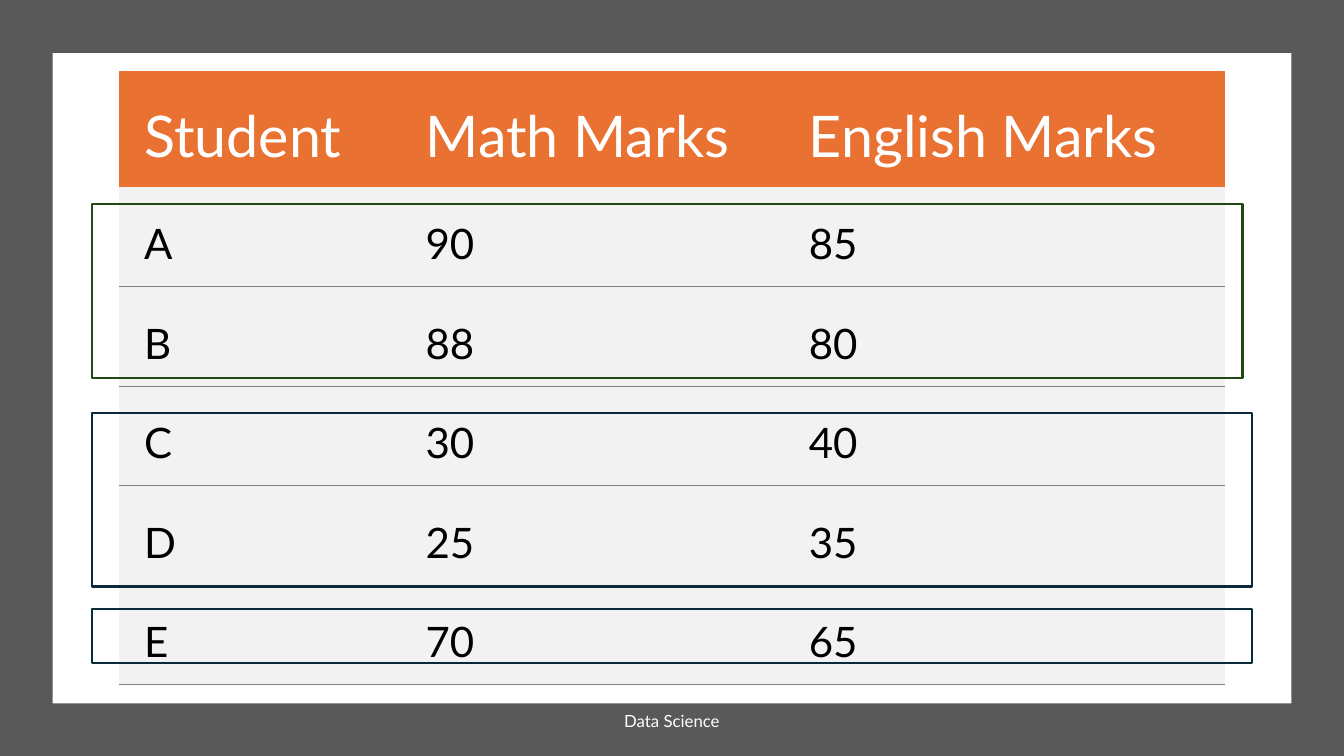
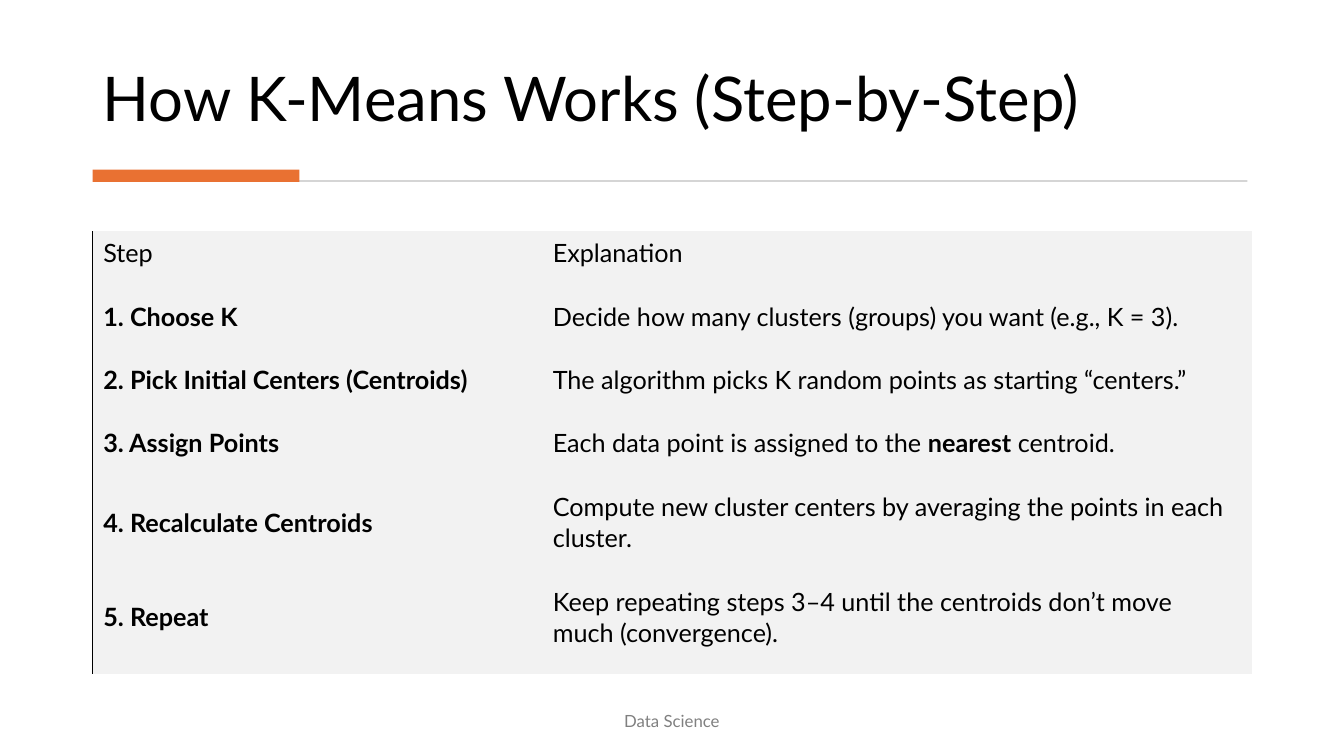
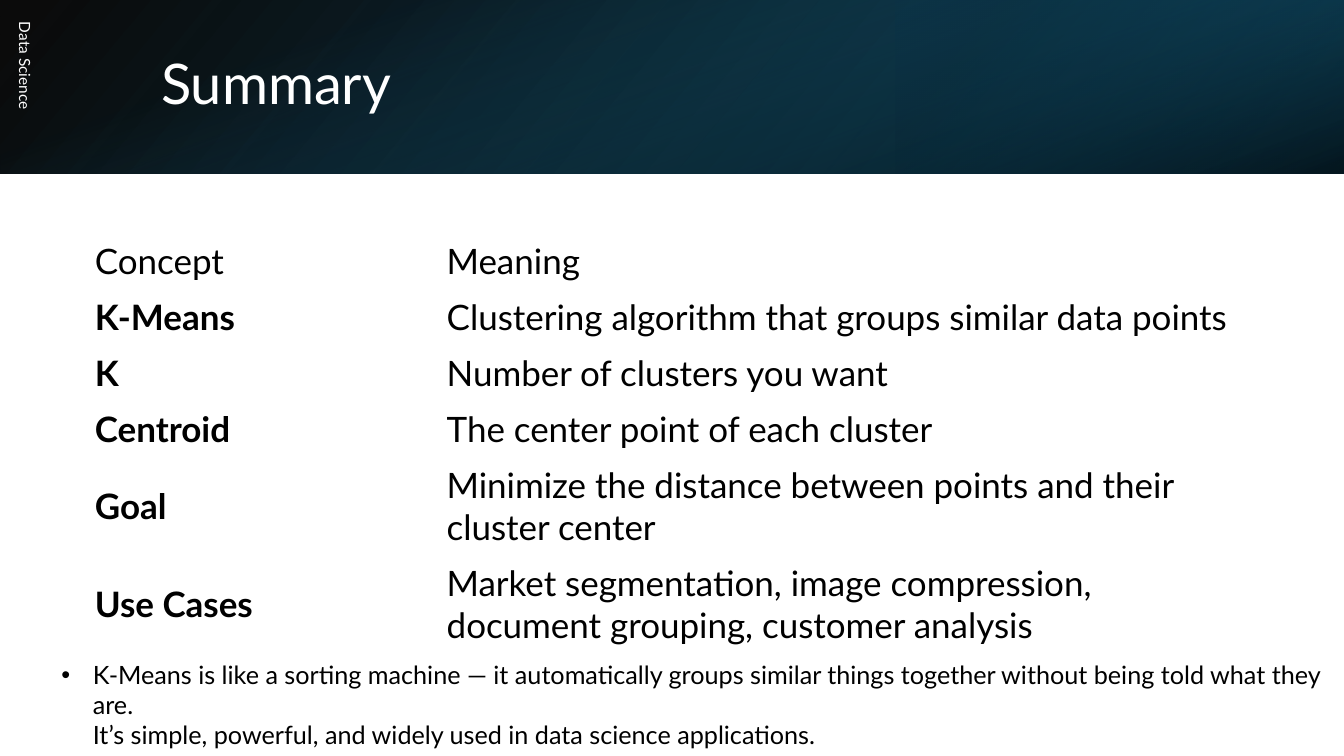
from lxml.etree import SubElement as Sub
from pptx import Presentation
from pptx.dml.color import RGBColor as RGB
from pptx.enum.shapes import MSO_SHAPE
from pptx.enum.text import MSO_ANCHOR as ANC, MSO_AUTO_SIZE as AUTO, PP_ALIGN as AL
from pptx.oxml.ns import qn
from pptx.util import Pt

FONT = "Lato"
WIDE, HIGH = 960, 540
BLACK = RGB(0x00, 0x00, 0x00)
WHITE = RGB(0xFF, 0xFF, 0xFF)
DARK = RGB(0x59, 0x59, 0x59)
GREY = RGB(0x80, 0x80, 0x80)
RULE = RGB(0xD5, 0xD5, 0xD5)
PALE = RGB(0xF2, 0xF2, 0xF2)
ORANGE = RGB(0xE9, 0x71, 0x32)
GREEN = RGB(0x22, 0x49, 0x14)
NAVY = RGB(0x09, 0x2A, 0x39)
OCEAN = RGB(0x10, 0x48, 0x62)
DEEP = RGB(0x0B, 0x30, 0x41)
TEAL = RGB(0x15, 0x60, 0x82)

MARKS = [
    ("Student", "Math Marks", "English Marks"),
    ("A", "90", "85"),
    ("B", "88", "80"),
    ("C", "30", "40"),
    ("D", "25", "35"),
    ("E", "70", "65"),
]
STEPS = [
    ("Step", "Explanation"),
    ("*1. Choose K*", "Decide how many clusters (groups) you want (e.g., K = 3)."),
    ("*2. Pick Initial Centers (Centroids)*",
     "The algorithm picks K random points as starting “centers.”"),
    ("*3. Assign Points*", "Each data point is assigned to the *nearest* centroid."),
    ("*4. Recalculate Centroids*",
     "Compute new cluster centers by averaging the points in each cluster."),
    ("*5. Repeat*",
     "Keep repeating steps 3–4 until the centroids don’t move much (convergence)."),
]
TERMS = [
    ("Concept", "Meaning"),
    ("*K-Means*", "Clustering algorithm that groups similar data points"),
    ("*K*", "Number of clusters you want"),
    ("*Centroid*", "The center point of each cluster"),
    ("*Goal*", "Minimize the distance between points and their cluster center"),
    ("*Use Cases*",
     "Market segmentation, image compression, document grouping, customer analysis"),
]
CLOSING = ("K-Means is like a sorting machine — it automatically groups similar things "
           "together without being told what they are.\n"
           "It’s simple, powerful, and widely used in data science applications.")


def style(item, **vals):
    for name, val in vals.items():
        setattr(item, name, val)


def write(para, text, size, color):
    """Fill a paragraph; *stars* mark bold and a newline is a line break."""
    for n, line in enumerate(text.split("\n")):
        if n:
            para.add_line_break()
        for odd, part in enumerate(line.split("*")):
            if part:
                run = para.add_run()
                run.text = part
                style(run.font, name=FONT, size=Pt(size), bold=odd % 2 == 1)
                run.font.color.rgb = color


def add_text(slide, at, text, size, color, anchor=ANC.MIDDLE, turn=0, bullet=False, **vals):
    box = slide.shapes.add_textbox(*map(Pt, at))
    box.rotation = turn
    style(box.text_frame, word_wrap=True, vertical_anchor=anchor)
    para = box.text_frame.paragraphs[0]
    if bullet:
        props = para._p.get_or_add_pPr()
        style_at = {"marL": Pt(22.5), "indent": -Pt(22.5)}
        for key, val in style_at.items():
            props.set(key, str(val))
        Sub(props, qn("a:buFont"), typeface="Arial")
        Sub(props, qn("a:buChar"), char="•")
    style(para, **vals)
    write(para, text, size, color)
    return box


def add_title(slide, at, text, size, color, anchor):
    add_text(slide, at, text, size, color, anchor, line_spacing=0.9)


def add_footer(slide, color, at=(318, 500.4, 324, 28.8), size=12, align=AL.CENTER, turn=0):
    add_text(slide, at, "Data Science", size, color, turn=turn,
             alignment=align, space_after=Pt(6))


def add_rect(slide, at, fill=None, line=None):
    rect = slide.shapes.add_shape(MSO_SHAPE.RECTANGLE, *map(Pt, at))
    rect.shadow.inherit = False
    if fill is None:
        rect.fill.background()
    else:
        rect.fill.solid()
        rect.fill.fore_color.rgb = fill
    if line is None:
        rect.line.fill.background()
    else:
        rect.line.color.rgb = line
        rect.line.width = Pt(1.5)
    return rect


def add_fade(slide, at, angle, stops, turn=0, flip=False):
    """Gradient rectangle; stops are (place %, colour, opacity %)."""
    rect = add_rect(slide, at)
    rect.rotation = turn
    props = rect._element.spPr
    if flip:
        props.xfrm.set("flipH", "1")
    rect.fill.gradient()
    rect.fill.gradient_angle = 360 - angle
    for stop, (place, color, solid) in zip(rect.fill.gradient_stops, stops):
        stop.position = place / 100
        stop.color.rgb = color
    for tone, (place, color, solid) in zip(props.iter(qn("a:srgbClr")), stops):
        Sub(tone, qn("a:alpha"), val=str(solid * 1000))


def set_edges(cell, edges):
    """Draw the given sides, as {side: (colour, width)}, and clear the rest."""
    props = cell._tc.get_or_add_tcPr()
    for side in "LRTB":
        color, width = edges.get(side, (None, 0))
        line = Sub(props, qn("a:ln" + side), w=str(Pt(width)))
        if color is None:
            Sub(line, qn("a:noFill"))
        else:
            Sub(Sub(line, qn("a:solidFill")), qn("a:srgbClr"), val=str(color))


def add_grid(slide, left, top, data, cols, rows, inset, look):
    """Table; look(row, col) gives text size, text colour, fill and edges."""
    at = (left, top, sum(cols), sum(rows))
    table = slide.shapes.add_table(len(rows), len(cols), *map(Pt, at)).table
    style(table, first_row=False, horz_banding=False)
    for col, width in zip(table.columns, cols):
        col.width = Pt(width)
    sides = ("margin_left", "margin_top", "margin_right", "margin_bottom")
    pads = dict(zip(sides, map(Pt, inset)))
    for r, (row, high) in enumerate(zip(data, rows)):
        table.rows[r].height = Pt(high)
        for c, text in enumerate(row):
            cell = table.cell(r, c)
            size, color, fill, edges = look(r, c)
            style(cell, vertical_anchor=ANC.MIDDLE, **pads)
            set_edges(cell, edges)
            if fill is None:
                cell.fill.background()
            else:
                cell.fill.solid()
                cell.fill.fore_color.rgb = fill
            write(cell.text_frame.paragraphs[0], text, size, color)


def marks_look(r, c):
    if r == 0:
        return 41, WHITE, ORANGE, {}
    thin = (GREY, 0.75)
    return 30, BLACK, PALE, {"B": thin} if r == 1 else {"T": thin, "B": thin}


def steps_look(r, c):
    return 18, BLACK, PALE, {"L": (BLACK, 1)} if c == 0 else {}


def terms_look(r, c):
    return 25, BLACK, None, {}


def marks_slide(slide):
    add_rect(slide, (0, 0, WIDE, HIGH), DARK)
    add_rect(slide, (37.5, 38, 885, 464.4), WHITE)
    add_footer(slide, WHITE)
    add_grid(slide, 85, 50.5, MARKS, (201, 273.8, 315.4), [83.2] + [71.1] * 5,
             (18, 18, 18, 9), marks_look)
    for top, wide, high, color in ((146, 822, 124, GREEN), (295, 828.7, 124, NAVY),
                                   (435, 828.7, 38.7, NAVY)):
        add_rect(slide, (65.6, top, wide, high), line=color)


def steps_slide(slide):
    add_title(slide, (66.2, 20.2, 827.3, 80), "How K-Means Works (Step-by-Step)",
              44, BLACK, ANC.BOTTOM)
    add_rect(slide, (68.4, 128.6, 822.6, 1.4), RULE)
    add_rect(slide, (66.2, 121.2, 147.6, 8.7), ORANGE)
    add_footer(slide, GREY)
    add_grid(slide, 66.2, 165, STEPS, (321.1, 506.9), [45.3] * 4 + [67.8] * 2,
             (7.6, 2.2, 10.9, 16.3), steps_look)


def terms_slide(slide):
    band = 124
    add_fade(slide, (0, 0, WIDE, band), 140, ((0, BLACK, 96), (100, OCEAN, 100)), flip=True)
    add_fade(slide, (640, 0, 320, band), 320, ((19, DEEP, 68), (100, TEAL, 79)), 180, True)
    mid = (WIDE - band) / 2
    add_fade(slide, (mid, -mid, band, WIDE), 340, ((23, TEAL, 0), (99, BLACK, 74)), 90)
    add_title(slide, (108, 27.4, 790.6, 69), "Summary", 40, WHITE, ANC.MIDDLE)
    add_footer(slide, WHITE, (-144, 156.2, 324, 28.8), 11, AL.LEFT, 90)
    add_grid(slide, 57.8, 166.5, TERMS, (251.3, 594.7), [40] * 4 + [70] * 2,
             (10, 5, 10, 5), terms_look)
    note = add_text(slide, (36.7, 467.3, 934, 51), CLOSING, 18, BLACK, ANC.TOP, bullet=True)
    note.text_frame.auto_size = AUTO.SHAPE_TO_FIT_TEXT


def main():
    deck = Presentation()
    style(deck, slide_width=Pt(WIDE), slide_height=Pt(HIGH))
    for build in (marks_slide, steps_slide, terms_slide):
        build(deck.slides.add_slide(deck.slide_layouts[6]))
    deck.save("out.pptx")


if __name__ == "__main__":
    main()
